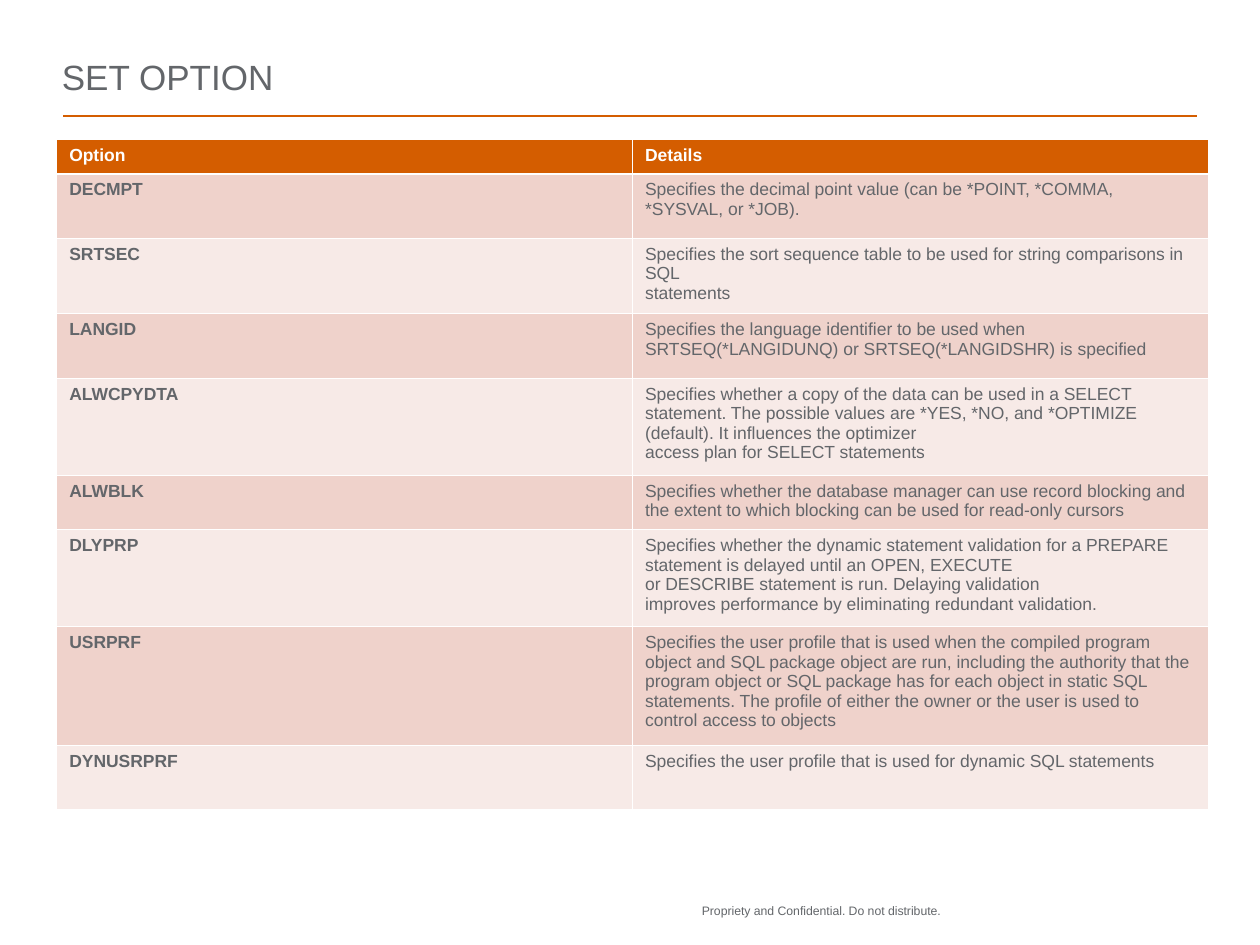
from dataclasses import dataclass

import lxml.etree
import pptx
import pptx.dml.color
import pptx.enum.shapes
import pptx.enum.text
import pptx.oxml.ns
import pptx.util

COLORS = {
    "accent": "D45D00",
    "text": "63666A",
    "white": "FFFFFF",
    "dark_band": "EFD2CB",
    "light_band": "F7EAE7",
}
FONT = "Arial"
WIDTH, HEIGHT = 10, 7.5
THIN, THICK = 0.45, 1.47


@dataclass(frozen=True)
class Area:
    left: float
    top: float
    width: float
    height: float

    def lengths(self) -> tuple:
        return (across(self.left), down(self.top), across(self.width), down(self.height))


@dataclass(frozen=True)
class Option:
    name: str
    details: str
    height: float


TITLE = Area(0.039, 0.032, 0.927, 0.103)
TABLE = Area(0.045, 0.148, 0.914, 0.708)
FOOTER = Area(0.557, 0.956, 0.208, 0.033)
RULE_LEFT, RULE_RIGHT, RULE_TOP = 0.05, 0.95, 0.1227

ROWS = [
    Option("Option", "Details", 0.27),
    Option("DECMPT", "Specifies the decimal point value (can be *POINT, *COMMA, *SYSVAL, or *JOB).", 0.51),
    Option("SRTSEC", "Specifies the sort sequence table to be used for string comparisons in SQL\nstatements", 0.6),
    Option(
        "LANGID",
        "Specifies the language identifier to be used when "
        "SRTSEQ(*LANGIDUNQ) or SRTSEQ(*LANGIDSHR) is specified",
        0.51,
    ),
    Option(
        "ALWCPYDTA",
        "Specifies whether a copy of the data can be used in a SELECT statement. "
        "The possible values are *YES, *NO, and *OPTIMIZE (default). It influences the optimizer\n"
        "access plan for SELECT statements",
        0.77,
    ),
    Option(
        "ALWBLK",
        "Specifies whether the database manager can use record blocking and "
        "the extent to which blocking can be used for read-only cursors",
        0.43,
    ),
    Option(
        "DLYPRP",
        "Specifies whether the dynamic statement validation for a PREPARE statement "
        "is delayed until an OPEN, EXECUTE\n"
        "or DESCRIBE statement is run. Delaying validation\n"
        "improves performance by eliminating redundant validation.",
        0.77,
    ),
    Option(
        "USRPRF",
        "Specifies the user profile that is used when the compiled program object and "
        "SQL package object are run, including the authority that the program object or "
        "SQL package has for each object in static SQL statements. The profile of either "
        "the owner or the user is used to control access to objects",
        0.94,
    ),
    Option("DYNUSRPRF", "Specifies the user profile that is used for dynamic SQL statements", 0.51),
]


def across(share: float) -> int:
    return pptx.util.Inches(WIDTH * share)


def down(share: float) -> int:
    return pptx.util.Inches(HEIGHT * share)


def color(name: str) -> pptx.dml.color.RGBColor:
    return pptx.dml.color.RGBColor.from_string(COLORS[name])


def write(frame, text: str, size: float, color_name: str, bold: bool = False) -> None:
    frame.text = text
    for para in frame.paragraphs:
        para.alignment = pptx.enum.text.PP_ALIGN.LEFT
        for span in para.runs:
            span.font.name = FONT
            span.font.size = pptx.util.Pt(size)
            span.font.bold = bold
            span.font.color.rgb = color(color_name)


def add_title(page) -> None:
    box = page.shapes.title
    box.left, box.top, box.width, box.height = TITLE.lengths()
    frame = box.text_frame
    write(frame, "SET OPTION", 20, "text")
    frame.auto_size = pptx.enum.text.MSO_AUTO_SIZE.NONE
    frame.vertical_anchor = pptx.enum.text.MSO_ANCHOR.MIDDLE
    frame.paragraphs[0].line_spacing = 0.95
    frame.paragraphs[0].space_after = pptx.util.Pt(8.8)


def add_rule(page) -> None:
    rule = page.shapes.add_connector(
        pptx.enum.shapes.MSO_CONNECTOR.STRAIGHT,
        across(RULE_LEFT), down(RULE_TOP), across(RULE_RIGHT), down(RULE_TOP),
    )
    rule.line.color.rgb = color("accent")
    rule.line.width = pptx.util.Pt(1)
    properties = rule._element.spPr
    lxml.etree.SubElement(properties, pptx.oxml.ns.qn("a:effectLst"))


def add_footer(page) -> None:
    box = page.shapes.add_textbox(*FOOTER.lengths())
    frame = box.text_frame
    frame.margin_left = frame.margin_right = frame.margin_top = frame.margin_bottom = 0
    frame.word_wrap = True
    write(frame, "Propriety and Confidential. Do not distribute.", 7, "text")


def set_borders(cell, top: float, bottom: float) -> None:
    properties = cell._tc.get_or_add_tcPr()
    widths = {"a:lnL": THIN, "a:lnR": THIN, "a:lnT": top, "a:lnB": bottom}
    for position, (tag, width) in enumerate(widths.items()):
        line = lxml.etree.Element(pptx.oxml.ns.qn(tag), w=str(pptx.util.Pt(width)))
        fill = lxml.etree.SubElement(line, pptx.oxml.ns.qn("a:solidFill"))
        lxml.etree.SubElement(fill, pptx.oxml.ns.qn("a:srgbClr"), val=COLORS["white"])
        properties.insert(position, line)


def add_options(page) -> None:
    table = page.shapes.add_table(len(ROWS), 2, *TABLE.lengths()).table
    for column in table.columns:
        column.width = across(TABLE.width / 2)
    for index, option in enumerate(ROWS):
        header = index == 0
        band = "accent" if header else "dark_band" if index % 2 else "light_band"
        table.rows[index].height = pptx.util.Inches(option.height)
        for column, text in enumerate((option.name, option.details)):
            cell = table.cell(index, column)
            cell.fill.solid()
            cell.fill.fore_color.rgb = color(band)
            set_borders(cell, THICK if index == 1 else THIN, THICK if header else THIN)
            write(cell.text_frame, text, 10, "white" if header else "text", header or column == 0)


def main() -> None:
    deck = pptx.Presentation()
    deck.slide_width = pptx.util.Inches(WIDTH)
    deck.slide_height = pptx.util.Inches(HEIGHT)
    page = deck.slides.add_slide(deck.slide_layouts.get_by_name("Title Only"))
    add_rule(page)
    add_footer(page)
    add_title(page)
    add_options(page)
    deck.save("out.pptx")


if __name__ == "__main__":
    main()
